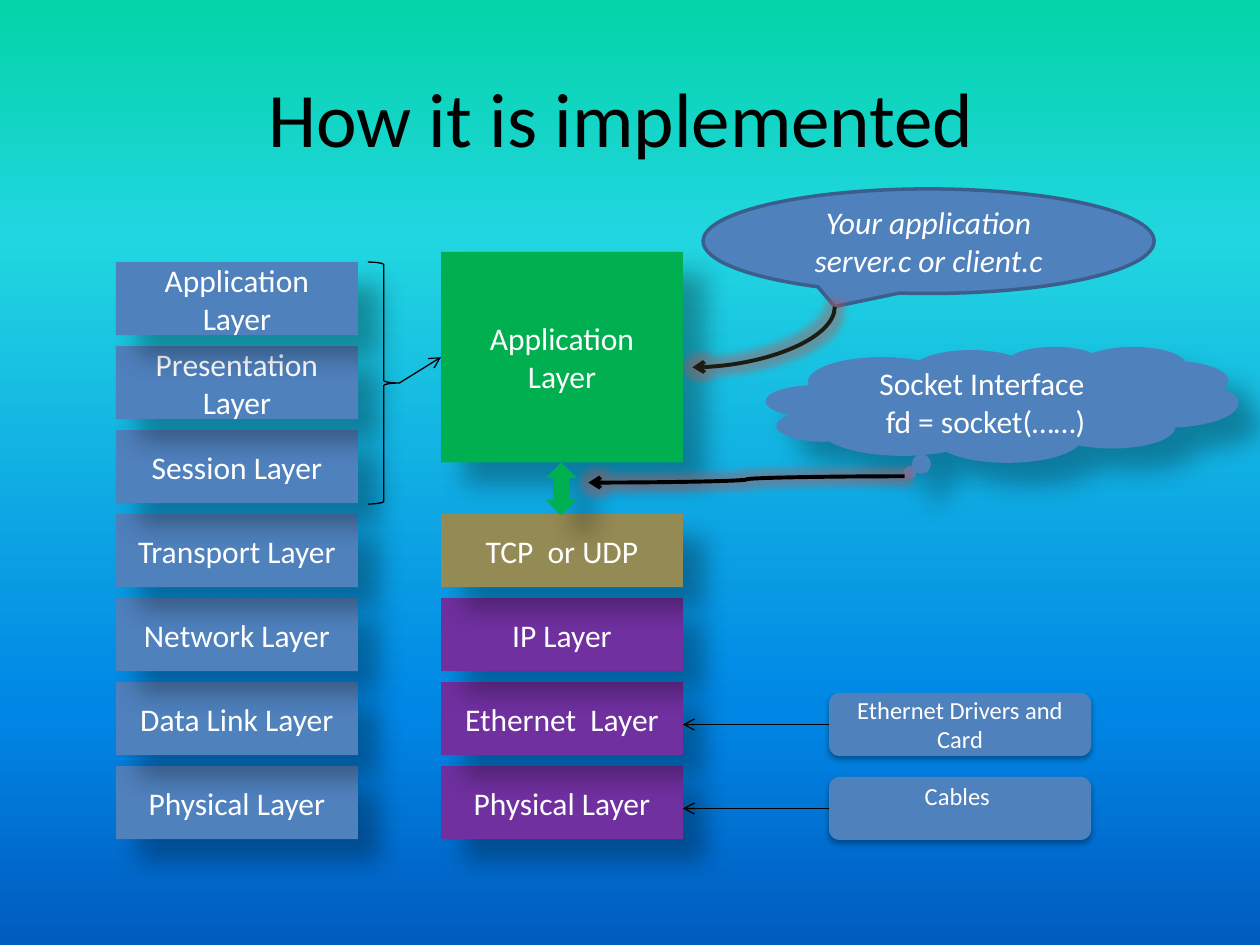
from dataclasses import dataclass
from typing import Optional

from lxml import etree
from pptx import Presentation
from pptx.dml.color import RGBColor
from pptx.enum import shapes, text
from pptx.oxml.ns import qn
from pptx.util import Inches, Pt

BLUE, GREEN, PURPLE, TAN = "4F81BD", "00B050", "7030A0", "948A54"
BLACK, WHITE, RED = "000000", "FFFFFF", "C0504D"
KIND = shapes.MSO_SHAPE
LEFT_X, RIGHT_X, LAYER_W, LAYER_H = 0.92, 3.5, 1.92, 0.58
TOP, PITCH = 2.08, 2 / 3
NOTE_X, NOTE_W, NOTE_H = 6.58, 2.08, 0.5


@dataclass(frozen=True)
class Shadow:
    alpha: int
    blur: float
    dist: float
    angle: int


DEEP = Shadow(30, 15, 18, 45)
SOFT = Shadow(32, 3.5, 2.2, 90)


@dataclass(frozen=True)
class Box:
    x: float
    y: float
    w: float
    h: float
    fill: Optional[str] = BLUE
    label: str = ""
    kind: int = KIND.RECTANGLE
    shadow: Optional[Shadow] = DEEP
    line: Optional[str] = None
    line_width: float = 0.75
    size: int = 18
    italic: bool = False


LEFT_LAYERS = ["Application Layer", "Presentation Layer", "Session Layer",
               "Transport Layer", "Network Layer", "Data Link Layer", "Physical Layer"]
RIGHT_LAYERS = [("TCP  or UDP", TAN), ("IP Layer", PURPLE),
                ("Ethernet  Layer", PURPLE), ("Physical Layer", PURPLE)]


def rgb(color: str) -> RGBColor:
    return RGBColor.from_string(color)


def sub(parent, tag: str, **attrs):
    """Append a DrawingML child element."""
    return etree.SubElement(parent, qn(tag), {k: str(v) for k, v in attrs.items()})


def set_font(font, color: str, **values) -> None:
    for name, value in {"name": "Calibri", **values}.items():
        setattr(font, name, value)
    font.color.rgb = rgb(color)


def add_effect(effects, tag: str, color: str, alpha: int, **attrs) -> None:
    clr = sub(sub(effects, tag, **attrs), "a:srgbClr", val=color)
    sub(clr, "a:alpha", val=alpha * 1000)


def add_box(slide, box: Box):
    sp = slide.shapes.add_shape(box.kind, *map(Inches, (box.x, box.y, box.w, box.h)))
    sp.shadow.inherit = False
    if box.fill:
        sp.fill.solid()
        sp.fill.fore_color.rgb = rgb(box.fill)
    else:
        sp.fill.background()
    if box.line:
        sp.line.color.rgb = rgb(box.line)
        sp.line.width = Pt(box.line_width)
    else:
        sp.line.fill.background()
    if box.shadow:
        add_effect(sp.element.spPr.find(qn("a:effectLst")), "a:outerShdw", BLACK,
                   box.shadow.alpha, blurRad=Pt(box.shadow.blur), dist=Pt(box.shadow.dist),
                   dir=box.shadow.angle * 60000, algn="tl", rotWithShape=0)
    if box.label:
        tf = sp.text_frame
        tf.word_wrap = True
        tf.vertical_anchor = text.MSO_ANCHOR.MIDDLE
        for i, line in enumerate(box.label.split("\n")):
            p = tf.paragraphs[0] if i == 0 else tf.add_paragraph()
            p.alignment = text.PP_ALIGN.CENTER
            r = p.add_run()
            r.text = line
            set_font(r.font, WHITE, size=Pt(box.size), italic=box.italic)
    return sp


def add_arrow(slide, x1: float, y1: float, x2: float, y2: float,
              kind=shapes.MSO_CONNECTOR.STRAIGHT, color: str = BLACK,
              width: float = 0.75, glow: bool = False):
    cx = slide.shapes.add_connector(kind, *map(Inches, (x1, y1, x2, y2)))
    cx.line.color.rgb = rgb(color)
    cx.line.width = Pt(width)
    sub(cx.line._get_or_add_ln(), "a:tailEnd", type="arrow")
    effects = sub(cx._element.spPr, "a:effectLst")
    if glow:
        add_effect(effects, "a:glow", RED, 40, rad=Pt(8))
    return cx


def set_background(slide) -> None:
    fill = slide.background.fill
    fill.gradient()
    fill.gradient_angle = 270
    stops = slide.element.find(".//" + qn("a:gsLst"))
    for stop in list(stops):
        stops.remove(stop)
    for pos, color in [(0, "03D4A8"), (25, "21D6E0"), (75, "0087E6"), (100, "005CBF")]:
        sub(sub(stops, "a:gs", pos=pos * 1000), "a:srgbClr", val=color)


def add_title(slide) -> None:
    title = slide.shapes.title
    for name, value in dict(left=0.5, top=0.3, width=9, height=1.25).items():
        setattr(title, name, Inches(value))
    p = title.text_frame.paragraphs[0]
    p.alignment = text.PP_ALIGN.CENTER
    r = p.add_run()
    r.text = "How it is implemented "
    set_font(r.font, BLACK, size=Pt(44))


def add_layers(slide):
    """Stack both columns from the bottom up; return the large application box."""
    for row, label in reversed(list(enumerate(LEFT_LAYERS))):
        add_box(slide, Box(LEFT_X, TOP + row * PITCH, LAYER_W, LAYER_H, BLUE, label))
    app = add_box(slide, Box(RIGHT_X, 2, LAYER_W, 1.67, GREEN, "Application Layer"))
    for row, (label, color) in reversed(list(enumerate(RIGHT_LAYERS, start=3))):
        add_box(slide, Box(RIGHT_X, TOP + row * PITCH, LAYER_W, LAYER_H, color, label))
    add_box(slide, Box(4.33, 3.67, 0.25, 0.42, GREEN, kind=KIND.UP_DOWN_ARROW))
    return app


def add_callouts(slide) -> None:
    curve = shapes.MSO_CONNECTOR.CURVE
    add_box(slide, Box(5.58, 1.5, 3.58, 0.83, BLUE, "Your application server.c or client.c",
                       KIND.OVAL_CALLOUT, None, "3A5F8C", 2, italic=True))
    bend = add_arrow(slide, 5.82, 2.11, 6.3, 3.24, curve, "1E1C11", 2.25, glow=True)
    bend._element.spPr.find(qn("a:xfrm")).set("rot", str(90 * 60000))
    bend._element.spPr.find(qn("a:prstGeom")).set("prst", "curvedConnector2")
    add_box(slide, Box(6.08, 2.75, 3.75, 0.92, BLUE, "Socket Interface \nfd = socket(……)",
                       KIND.CLOUD_CALLOUT))
    add_arrow(slide, 7.18, 3.78, 4.67, 3.83, curve, BLACK, 2.25, glow=True)


def add_note(slide, y: float, label: str):
    """Add a hardware note with an arrow to its layer."""
    note = add_box(slide, Box(NOTE_X, y, NOTE_W, NOTE_H, BLUE, label,
                              KIND.ROUNDED_RECTANGLE, SOFT, size=14))
    mid = y + NOTE_H / 2
    arrow = add_arrow(slide, NOTE_X, mid, RIGHT_X + LAYER_W, mid)
    arrow.begin_connect(note, 1)
    return note


def main() -> None:
    prs = Presentation()
    prs.slide_width, prs.slide_height = Inches(10), Inches(7.5)
    slide = prs.slides.add_slide(prs.slide_layouts[5])
    set_background(slide)
    add_title(slide)
    app = add_layers(slide)
    add_callouts(slide)
    add_note(slide, 5.5, "Ethernet Drivers and Card")
    cables = add_note(slide, 5.5 + PITCH, "Cables ")
    cables.text_frame.vertical_anchor = text.MSO_ANCHOR.TOP
    cables.text_frame.margin_top = Inches(0.01)
    add_box(slide, Box(2.92, TOP, 0.25, 1.92, None, kind=KIND.RIGHT_BRACE,
                       shadow=None, line=BLACK))
    add_arrow(slide, 3.17, 3.04, RIGHT_X, 2.83).end_connect(app, 1)
    prs.save("out.pptx")


if __name__ == "__main__":
    main()
